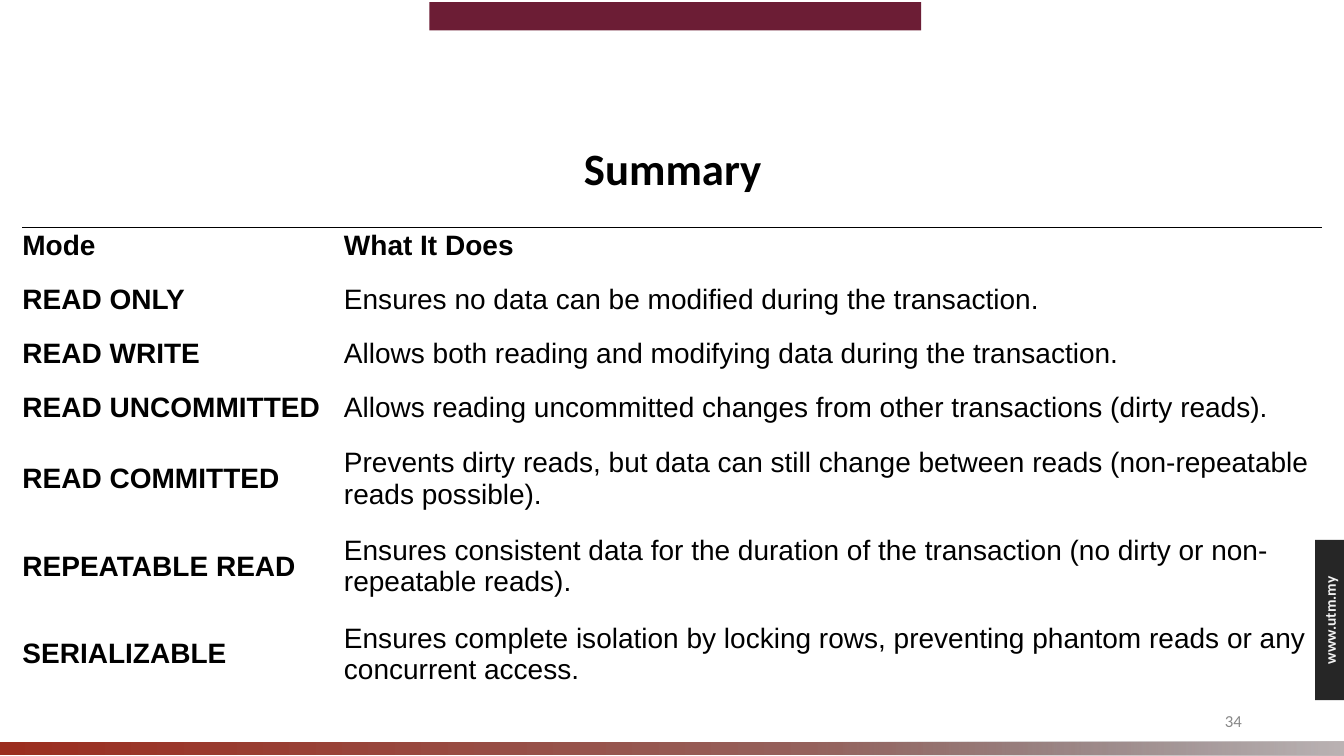
from dataclasses import dataclass
from typing import Optional

from lxml.etree import SubElement
from pptx import Presentation
from pptx.dml.color import RGBColor
from pptx.enum.shapes import MSO_SHAPE as Preset
from pptx.enum.text import MSO_ANCHOR as Anchor, PP_ALIGN as Align
from pptx.oxml import parse_xml
from pptx.oxml.ns import nsdecls, qn
from pptx.util import Pt


@dataclass(frozen=True)
class Theme:
    heading_font: str = "Calibri"
    table_font: str = "Arial"
    maroon: str = "6C1D35"
    charcoal: str = "262626"
    off_white: str = "F2F2F2"
    black: str = "000000"
    number_grey: str = "888888"
    warm_grey: str = "918485"
    pale_grey: str = "BCB4B5"
    rust: str = "9B2D1F"
    title_size: float = 32
    table_size: float = 20
    number_size: float = 12
    address_size: float = 11


@dataclass(frozen=True)
class Box:
    left: float
    top: float
    width: float
    height: float
    rotation: float = 0

    def lengths(self) -> tuple:
        return Pt(self.left), Pt(self.top), Pt(self.width), Pt(self.height)


@dataclass(frozen=True)
class GradientStop:
    position: int
    color: str
    opacity: int = 100


@dataclass(frozen=True)
class Bar:
    box: Box
    color: Optional[str] = None
    stops: tuple = ()


@dataclass(frozen=True)
class Mode:
    name: str
    effect: str
    lines: int = 1


THEME = Theme()
ROW_HEIGHT, LINE_HEIGHT = 38.35, 22.4
COLUMN_WIDTHS = (229.7, 698.6)
TABLE_LEFT, TABLE_TOP = 16, 162.7
NO_GRID_STYLE = "{2D5ABB26-0587-4C30-8999-92F81FD0307C}"

TOP_BAR = Bar(Box(306.7, 1.6, 351.2, 20.2), THEME.maroon)
SIDE_TAB = Bar(Box(939.4, 385.7, 20.9, 114.5), THEME.charcoal)
FOOTER_BARS = (
    Bar(Box(475.2, 54.3, 9.4, 961.2, 90),
        stops=(GradientStop(0, THEME.warm_grey), GradientStop(100, THEME.rust))),
    Bar(Box(722.9, 301.3, 9.4, 466.6, 270),
        stops=(GradientStop(0, THEME.warm_grey, 0), GradientStop(19, THEME.warm_grey, 0),
               GradientStop(100, THEME.pale_grey))),
)
HEADER = Mode("Mode", "What It Does")
MODES = (
    Mode("READ ONLY", "Ensures no data can be modified during the transaction."),
    Mode("READ WRITE", "Allows both reading and modifying data during the transaction."),
    Mode("READ UNCOMMITTED",
         "Allows reading uncommitted changes from other transactions (dirty reads)."),
    Mode("READ COMMITTED",
         "Prevents dirty reads, but data can still change between reads "
         "(non-repeatable reads possible).", 2),
    Mode("REPEATABLE READ",
         "Ensures consistent data for the duration of the transaction "
         "(no dirty or non-repeatable reads).", 2),
    Mode("SERIALIZABLE",
         "Ensures complete isolation by locking rows, preventing phantom reads "
         "or any concurrent access.", 2),
)


def write_text(frame, text: str, *, font: str, size: float, color: str,
               bold: bool = False, align=Align.LEFT,
               spacing: Optional[float] = None) -> None:
    paragraph = frame.paragraphs[0]
    paragraph.alignment = align
    paragraph.line_spacing = spacing
    run = paragraph.add_run()
    run.text = text
    run.font.name = font
    run.font.size = Pt(size)
    run.font.bold = bold
    run.font.color.rgb = RGBColor.from_string(color)


def add_text(slide, box: Box, text: str, *, anchor=Anchor.MIDDLE, **text_format) -> None:
    shape = slide.shapes.add_textbox(*box.lengths())
    shape.rotation = box.rotation
    shape.text_frame.word_wrap = True
    shape.text_frame.vertical_anchor = anchor
    write_text(shape.text_frame, text, **text_format)


def apply_gradient(shape, stops: tuple) -> None:
    """Fill the shape from its own top to its own bottom, with opacity per stop."""
    gradient = parse_xml(f'<a:gradFill {nsdecls("a")} rotWithShape="1"><a:gsLst/>'
                         '<a:lin ang="5400000" scaled="0"/></a:gradFill>')
    for stop in stops:
        node = SubElement(gradient[0], qn("a:gs"), pos=str(stop.position * 1000))
        color = SubElement(node, qn("a:srgbClr"), val=stop.color)
        if stop.opacity < 100:
            SubElement(color, qn("a:alpha"), val=str(stop.opacity * 1000))
    shape.fill.background()
    properties = shape._element.spPr
    properties.replace(properties.find(qn("a:noFill")), gradient)


def add_bar(slide, bar: Bar) -> None:
    shape = slide.shapes.add_shape(Preset.RECTANGLE, *bar.box.lengths())
    shape.rotation = bar.box.rotation
    shape.shadow.inherit = False
    shape.line.fill.background()
    if bar.stops:
        apply_gradient(shape, bar.stops)
    else:
        shape.fill.solid()
        shape.fill.fore_color.rgb = RGBColor.from_string(bar.color)


def add_top_border(cell) -> None:
    cell._tc.get_or_add_tcPr().insert(0, parse_xml(
        f'<a:lnT {nsdecls("a")} w="{Pt(0.75)}"><a:solidFill>'
        f'<a:srgbClr val="{THEME.black}"/></a:solidFill></a:lnT>'))


def fill_cell(cell, text: str, bold: bool) -> None:
    cell.fill.background()
    cell.vertical_anchor = Anchor.MIDDLE
    cell.margin_left, cell.margin_right = Pt(0), Pt(5)
    cell.margin_top, cell.margin_bottom = Pt(0.8), Pt(13.8)
    write_text(cell.text_frame, text, font=THEME.table_font, size=THEME.table_size,
               color=THEME.black, bold=bold)


def add_mode_table(slide) -> None:
    rows = (HEADER, *MODES)
    heights = [ROW_HEIGHT + LINE_HEIGHT * (mode.lines - 1) for mode in rows]
    box = Box(TABLE_LEFT, TABLE_TOP, sum(COLUMN_WIDTHS), sum(heights))
    table = slide.shapes.add_table(len(rows), len(COLUMN_WIDTHS), *box.lengths()).table
    table.first_row = table.horz_banding = False
    table._tbl.tblPr.find(qn("a:tableStyleId")).text = NO_GRID_STYLE
    for column, width in zip(table.columns, COLUMN_WIDTHS):
        column.width = Pt(width)
    for row, mode, height in zip(table.rows, rows, heights):
        row.height = Pt(height)
        fill_cell(row.cells[0], mode.name, True)
        fill_cell(row.cells[1], mode.effect, mode is HEADER)
    for cell in table.rows[0].cells:
        add_top_border(cell)


def main() -> None:
    presentation = Presentation()
    presentation.slide_width, presentation.slide_height = Pt(960), Pt(540)
    slide = presentation.slides.add_slide(presentation.slide_layouts[6])
    add_bar(slide, TOP_BAR)
    add_bar(slide, SIDE_TAB)
    add_text(slide, Box(895.7, 432.7, 108.7, 20.9, 270), "www.utm.my", anchor=Anchor.TOP,
             font=THEME.heading_font, size=THEME.address_size, color=THEME.off_white,
             bold=True, align=Align.CENTER)
    add_text(slide, Box(216.7, 58.3, 527.8, 127.4), "Summary", font=THEME.heading_font,
             size=THEME.title_size, color=THEME.black, bold=True, align=Align.CENTER,
             spacing=0.9)
    add_text(slide, Box(678.2, 500.4, 216, 28.8), "34", font=THEME.heading_font,
             size=THEME.number_size, color=THEME.number_grey, align=Align.RIGHT)
    for bar in FOOTER_BARS:
        add_bar(slide, bar)
    add_mode_table(slide)
    presentation.save("out.pptx")


if __name__ == "__main__":
    main()
